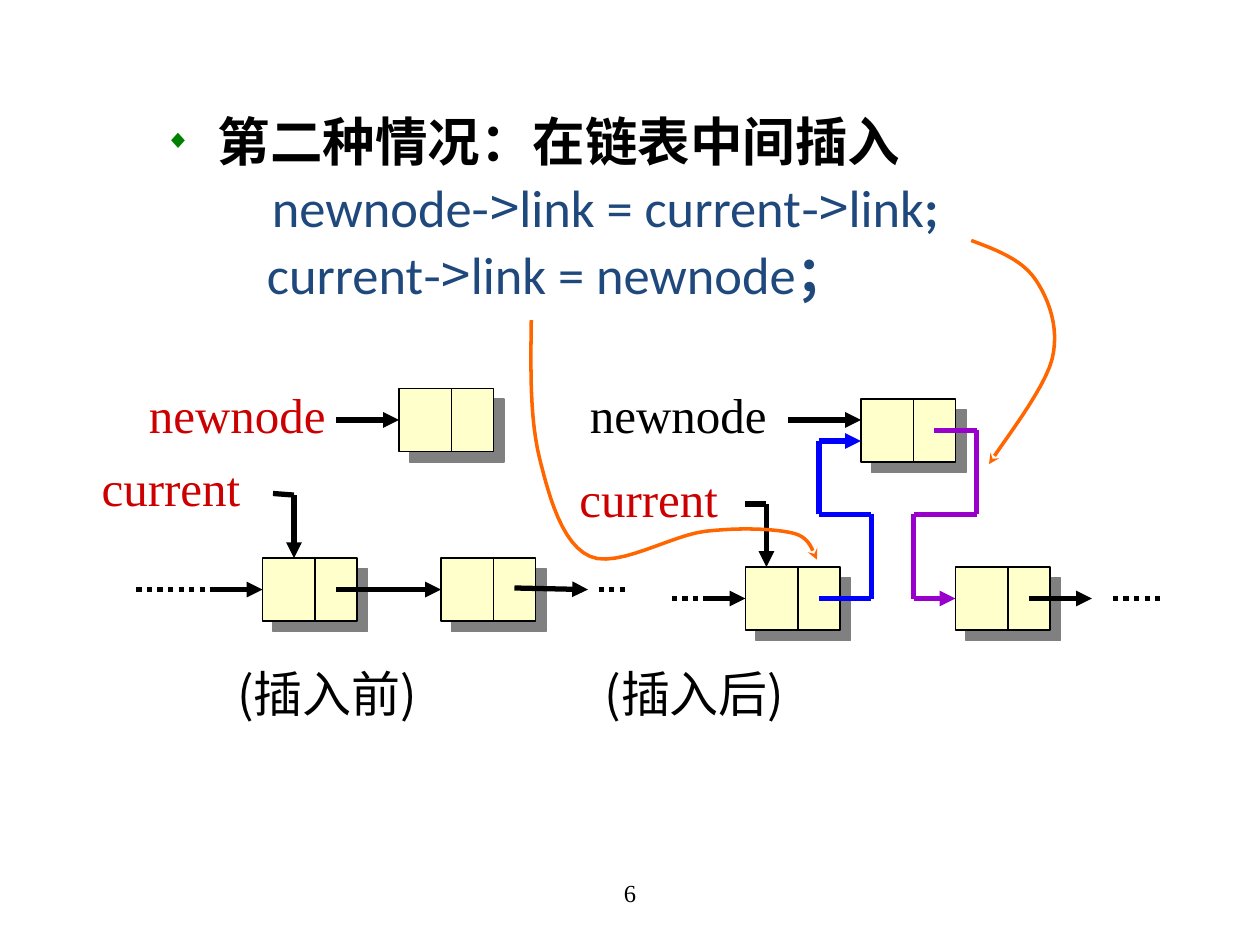
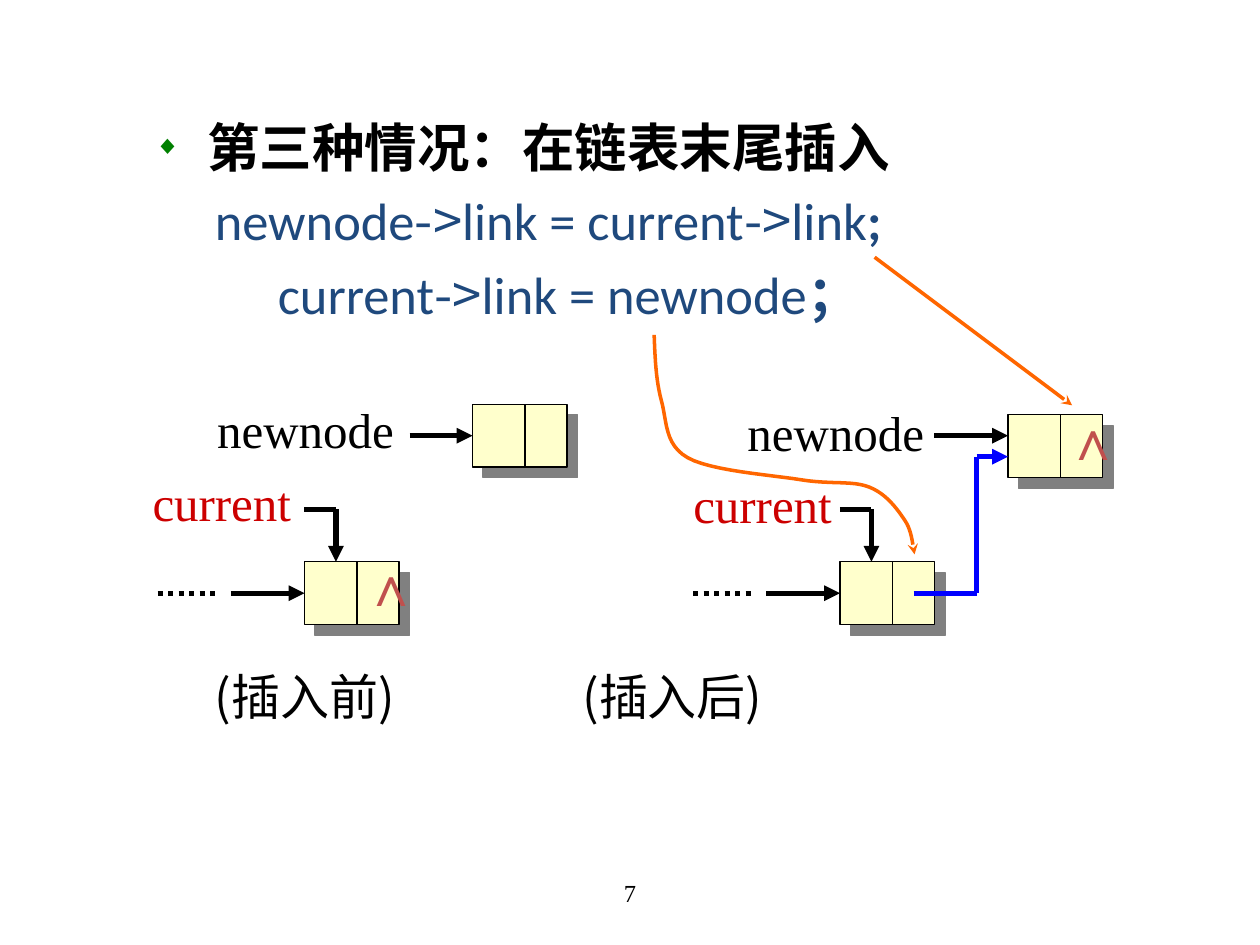
from dataclasses import dataclass
from lxml.etree import SubElement as sub
from pptx import Presentation
from pptx.dml.color import RGBColor
from pptx.enum.dml import MSO_LINE as Dash
from pptx.enum.shapes import MSO_CONNECTOR as Link, MSO_SHAPE as Form
from pptx.enum.text import MSO_ANCHOR as Anchor, MSO_AUTO_SIZE as Fit, PP_ALIGN as Align
from pptx.oxml.ns import qn
from pptx.util import Inches, Pt


@dataclass(frozen=True)
class Theme:
    """Colours, fonts and sizes that both slides share."""
    ink: str = "000000"
    red: str = "CC0000"
    null: str = "C0504D"
    code: str = "1F497D"
    mark: str = "008000"
    cell: str = "FFFFCC"
    shade: str = "808080"
    blue: str = "0000FF"
    plum: str = "9900CC"
    flame: str = "FF6600"
    sans: str = "Calibri"
    serif: str = "Times New Roman"
    han: str = "Noto Sans CJK SC"
    head: int = 30
    pitch: int = 38
    label: int = 28
    sign: int = 32
    foot: int = 14
    thin: float = 0.75
    thick: int = 3
    curve: int = 2


T = Theme()
CELL = Inches(1) // 12
WIDE, HIGH = 9, 6
SPLIT = 5


def tint(name):
    """Turn a hex string into a colour."""
    return RGBColor.from_string(name)


def write(para, text, size, face, ink, bold=False):
    """Add one formatted run to a paragraph."""
    run = para.add_run()
    run.text = text
    font = run.font
    font.size, font.name, font.bold = Pt(size), face, bold
    font.color.rgb = tint(ink)
    sub(run._r.get_or_add_rPr(), qn("a:ea"), typeface=T.han)


def stroke(shape, ink, width, tip=None, dotted=False):
    """Style a line, with an arrowhead or dots if asked."""
    shape.line.color.rgb = tint(ink)
    shape.line.width = Pt(width)
    if dotted:
        shape.line.dash_style = Dash.ROUND_DOT
    if tip:
        sub(shape._element.spPr.find(qn("a:ln")), qn("a:tailEnd"), type=tip)


@dataclass
class Pane:
    """A box on the slide whose parts sit on a grid of cells."""
    slide: object
    left: float = 0
    top: float = 0

    def at(self, col, row):
        """Give the slide position of a grid point."""
        return round((self.left + col) * CELL), round((self.top + row) * CELL)

    def label(self, text, col, row, wide, ink=T.ink, size=T.label,
              face=T.serif, align=Align.LEFT, high=7):
        """Place a line of text and return its frame."""
        box = self.slide.shapes.add_textbox(
            *self.at(col, row), round(wide * CELL), high * CELL)
        frame = box.text_frame
        frame.word_wrap = True
        frame.paragraphs[0].alignment = align
        write(frame.paragraphs[0], text, size, face, ink)
        return frame

    def line(self, start, end, ink=T.ink, width=T.thick, tip=None,
             dotted=False, goal=None):
        """Draw a straight line, joined to the left side of a goal node."""
        wire = self.slide.shapes.add_connector(
            Link.STRAIGHT, *self.at(*start), *self.at(*end))
        if goal is not None:
            wire.end_connect(goal, 1)
        stroke(wire, ink, width, tip, dotted)
        sub(wire._element.spPr, qn("a:effectLst"))

    def wire(self, *knots, ink=T.ink, goal=None):
        """Draw a bent arrow through the knots."""
        pairs = list(zip(knots, knots[1:]))
        for start, end in pairs[:-1]:
            self.line(start, end, ink)
        self.line(*pairs[-1], ink, tip="triangle", goal=goal)

    def dots(self, col, row, count):
        """Draw a dotted stretch of the list."""
        self.line((col, row), (col + count, row), dotted=True)

    def node(self, col, row):
        """Draw a list node with its two fields."""
        box = self.slide.shapes.add_shape(
            Form.RECTANGLE, *self.at(col, row), WIDE * CELL, HIGH * CELL)
        box.fill.solid()
        box.fill.fore_color.rgb = tint(T.cell)
        stroke(box, T.ink, T.thin)
        box.shadow.inherit = False
        shade = sub(box._element.spPr.find(qn("a:effectLst")), qn("a:outerShdw"),
                    dist=str(Pt(8.5)), dir="2700000", algn="ctr", rotWithShape="0")
        sub(shade, qn("a:srgbClr"), val=T.shade)
        self.line((col + SPLIT, row), (col + SPLIT, row + HIGH), width=T.thin)
        return box

    def curve(self, *knots):
        """Draw a smooth arrow through the knots."""
        ends = [knots[0], *knots, knots[-1]]
        slope = [tuple((c - a) / 6 for a, c in zip(one, two))
                 for one, two in zip(ends, ends[2:])]
        trail = []
        for i, (p, q) in enumerate(zip(knots, knots[1:])):
            near = [a + d for a, d in zip(p, slope[i])]
            far = [a - d for a, d in zip(q, slope[i + 1])]
            if i == 0:
                near = [(a + b) / 2 for a, b in zip(p, far)]
            for step in range(1, 13):
                t = step / 12
                u = 1 - t
                trail.append(self.at(*(
                    u**3 * a + 3 * u * u * t * b + 3 * u * t * t * c + t**3 * d
                    for a, b, c, d in zip(p, near, far, q))))
        pen = self.slide.shapes.build_freeform(*self.at(*knots[0]), scale=1.0)
        pen.add_line_segments(trail, close=False)
        shape = pen.convert_to_shape()
        shape.fill.background()
        shape.shadow.inherit = False
        stroke(shape, T.flame, T.curve, "stealth")


def indent(para, left, hang=0, mark=None):
    """Set a paragraph's indent and bullet."""
    props = para._p.get_or_add_pPr()
    props.set("marL", str(Inches(left)))
    props.set("indent", str(-Inches(hang)))
    if mark:
        sub(sub(props, qn("a:buClr")), qn("a:srgbClr"), val=T.mark)
        sub(props, qn("a:buSzPct"), val="50000")
        sub(props, qn("a:buChar"), char=mark)
    else:
        sub(props, qn("a:buNone"))


def body(pane, wide, high, head, tabs, gap):
    """Fill the body placeholder with a heading and two code lines."""
    box = pane.slide.placeholders[1]
    box.left, box.top = pane.at(0, 0)
    box.width, box.height = wide * CELL, high * CELL
    frame = box.text_frame
    frame.auto_size, frame.vertical_anchor = Fit.NONE, Anchor.TOP
    first = frame.paragraphs[0]
    indent(first, 0.92, 0.42, "◆")
    write(first, head, T.head, T.sans, T.ink, True)
    code = "newnode|->|link = current|->|link|;", "current|->|link = newnode|；"
    for text, tab in zip(code, tabs):
        para = frame.add_paragraph()
        indent(para, tab)
        for part in text.split("|"):
            face = T.han if part == "->" else T.sans
            write(para, part, T.head, face, T.code, part in ";；")
    for para in frame.paragraphs:
        para.line_spacing = Pt(T.pitch)
        para.space_before = Pt(0 if para._p is first._p else gap)


def titles(pane):
    """Name the states before and after the insert."""
    for i, text in enumerate(("(插入前)", "(插入后)")):
        pane.label(text, 35 * i, 0, 24, face=T.han)


def footer(pane, count):
    """Place the slide number."""
    frame = pane.label(str(count), 0, 0, 38, size=T.foot, align=Align.CENTER, high=6)
    frame.vertical_anchor = Anchor.MIDDLE


def mid_before(pane):
    """Draw the list before an insert in the middle."""
    row = 20.15
    pane.label("newnode", 5, 0, 20, T.red)
    pane.label("current", 0.5, 7, 17.4, T.red)
    fresh = pane.node(30, 1)
    here, after = (pane.node(col, row - 3) for col in (17, 34))
    pane.wire((24, 4), (30, 4), goal=fresh)
    pane.wire((18, 11), (20, 11.15), (20, row - 3))
    pane.dots(5, row, 7)
    pane.wire((12, row), (17, row), goal=here)
    pane.wire((24, row), (34, row), goal=after)
    pane.wire((41, 20), (48, row))
    pane.dots(49, row, 3)


def mid_after(pane):
    """Draw the list after an insert in the middle."""
    pane.label("newnode", 2, 0, 20)
    pane.label("current", 1, 8, 17.4, T.red)
    pane.node(29, 2)
    here, after = (pane.node(col, 18) for col in (18, 38))
    pane.wire((22, 4), (29, 4))
    pane.wire((18, 12), (20, 12), (20, 18))
    pane.dots(11, 21, 3)
    pane.wire((14, 21), (18, 21), goal=here)
    pane.wire((25, 21), (30, 21), (30, 13), (25, 13), (25, 6), (29, 6), ink=T.blue)
    pane.wire((36, 5), (40, 5), (40, 13), (34, 13), (34, 21), (38, 21),
              ink=T.plum, goal=after)
    pane.wire((45, 21), (51, 21))
    pane.dots(53, 21, 5)


def tail(pane, name, spot):
    """Draw the last node and its labels, shared by both end states."""
    pane.label("newnode", *name, 20)
    pane.label("current", *spot, 17.4, T.red, align=Align.RIGHT)
    last = pane.node(18, 16.5)
    pane.dots(4, 19.5, 6)
    pane.wire((11, 19.5), (18, 19.5), goal=last)
    pane.wire((18, 11.5), (21, 11.5), (21, 16.5))


def end_before(pane):
    """Draw the list before an insert at the end."""
    tail(pane, (8.5, 0.5), (0.5, 7.4))
    fresh = pane.node(34, 1.5)
    pane.wire((28, 4.5), (34, 4.5), goal=fresh)
    pane.label("∧", 22.4, 14.8, 5.6, T.null, T.sign)


def end_after(pane):
    """Draw the list after an insert at the end."""
    tail(pane, (8, 0.7), (1, 7.6))
    pane.node(34, 2.5)
    pane.wire((27, 4.5), (34, 4.5))
    pane.wire((25, 19.5), (31, 19.5), (31, 6.5), (34, 6.5), ink=T.blue)
    pane.label("∧", 38.3, 0.9, 5.6, T.null, T.sign)


def start(deck, count):
    """Add a slide with its number and no title."""
    slide = deck.slides.add_slide(deck.slide_layouts[1])
    title = slide.shapes.title.element
    title.getparent().remove(title)
    footer(Pane(slide, 41, 82), count)
    return slide


def middle(deck):
    """Build the slide on inserting in the middle."""
    slide = start(deck, 6)
    body(Pane(slide, 8.5, 9.4), 113, 71, "第二种情况：在链表中间插入", (1.35, 1.31), 0)
    titles(Pane(slide, 21.4, 62.6))
    mid_before(Pane(slide, 8, 36))
    mid_after(Pane(slide, 53, 36))
    page = Pane(slide)
    page.curve((92.5, 22.9), (98.6, 26.6), (100.2, 34.2), (94.2, 44.2))
    page.curve((50.6, 30.5), (51.4, 43.7), (56.2, 53), (67.2, 50.6),
               (75.6, 50.8), (77.8, 53.3))


def ending(deck):
    """Build the slide on inserting at the end."""
    slide = start(deck, 7)
    body(Pane(slide, 7.5, 10), 105, 54, "第三种情况：在链表末尾插入", (0.98, 1.48), 4)
    titles(Pane(slide, 19.3, 62.9))
    end_before(Pane(slide, 11, 37))
    end_after(Pane(slide, 62, 37))
    page = Pane(slide)
    page.line((83.3, 24.5), (102.1, 38.6), T.flame, T.curve, "stealth")
    page.curve((62.3, 31.9), (63, 38.2), (65.5, 43.6), (76.3, 45.7),
               (82.8, 46.4), (86.2, 49.6), (87.1, 52.8))


def main():
    """Build both slides and save them."""
    deck = Presentation()
    deck.slide_width, deck.slide_height = Inches(10), Inches(7.5)
    middle(deck)
    ending(deck)
    deck.save("out.pptx")


if __name__ == "__main__":
    main()
